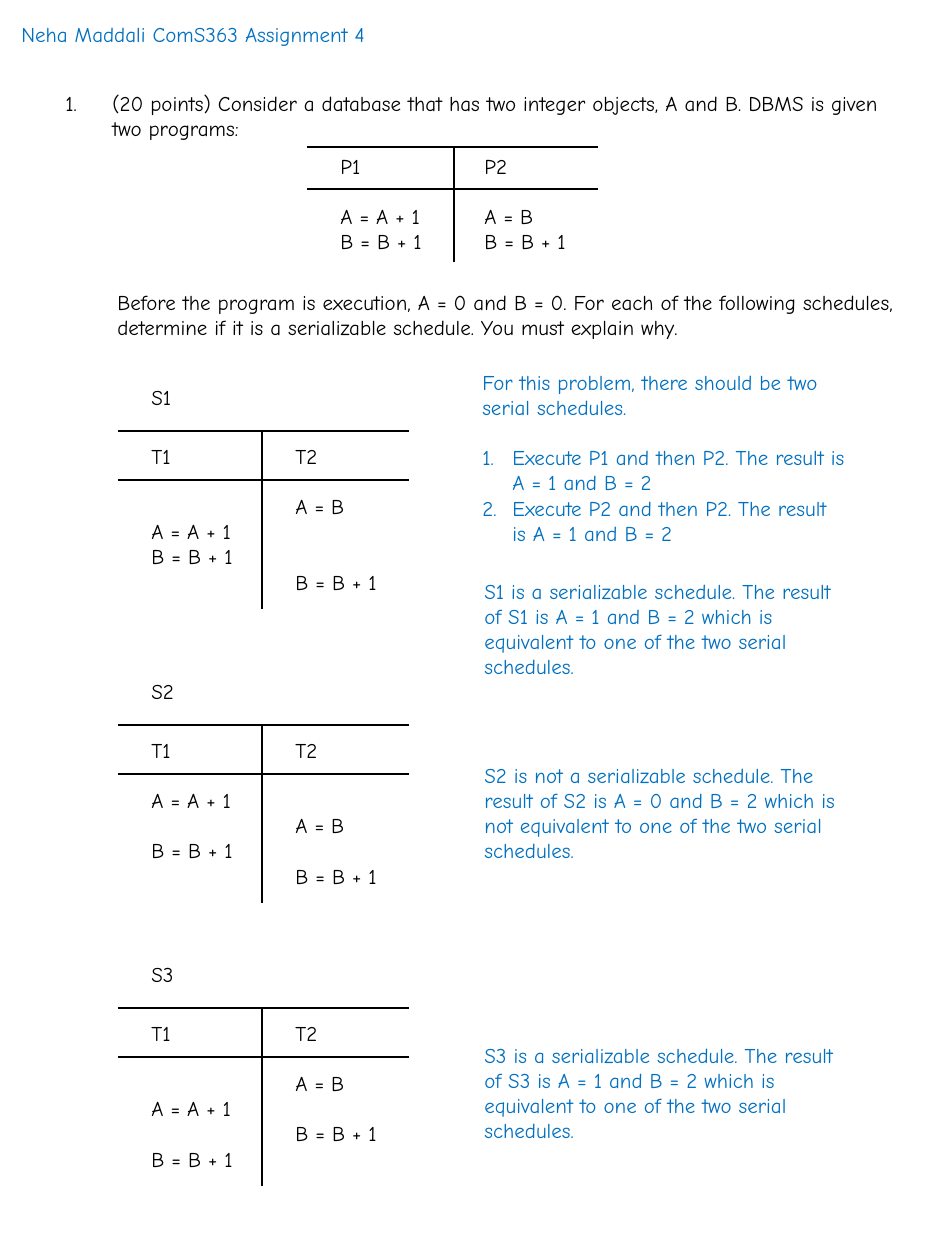
from lxml import etree
from pptx import Presentation, util as u
from pptx.dml.color import RGBColor
from pptx.enum import shapes, text
from pptx.oxml.ns import qn

PX = 914400 // 126
BLACK = RGBColor(0, 0, 0)
BLUE = RGBColor(0x00, 0x70, 0xC0)
FONT = "Comic Neue"
SIZE = 12
PITCH = 14.4
ADD_A = "A = A + 1"
ADD_B = "B = B + 1"
COPY = "A = B"


def px(n):
    return u.Emu(n * PX)


def number(para, indent):
    props = para._p.get_or_add_pPr()
    props.set("marL", str(indent * PX))
    props.set("indent", str(-indent * PX))
    etree.SubElement(props, qn("a:buFont")).set("typeface", FONT)
    etree.SubElement(props, qn("a:buAutoNum")).set("type", "arabicPeriod")


def write(slide, x, y, width, rows, lines, color=BLACK, wrap=True):
    box = slide.shapes.add_textbox(px(x), px(y), px(width), px(13 + 25 * rows))
    frame = box.text_frame
    frame.word_wrap = wrap
    frame.auto_size = text.MSO_AUTO_SIZE.SHAPE_TO_FIT_TEXT
    gap = 0
    frame.text = "\n".join(line for line in lines if line)
    paras = iter(frame.paragraphs)
    for line in lines:
        if not line:
            gap += PITCH
            continue
        para = next(paras)
        para.space_before = u.Pt(gap)
        para.font.size = u.Pt(SIZE)
        for run in para.runs:
            run.font.name = FONT
            run.font.size = u.Pt(SIZE)
            run.font.color.rgb = color
        gap = 0
    return frame.paragraphs


def rule(slide, x1, y1, x2, y2):
    line = slide.shapes.add_connector(
        shapes.MSO_CONNECTOR.STRAIGHT, px(x1), px(y1), px(x2), px(y2))
    line.line.color.rgb = BLACK
    line.line.width = u.Pt(0.75)
    etree.SubElement(line._element.spPr, qn("a:effectLst"))


def grid(slide, x, y, mid, head, height, drop, left, right):
    rule(slide, x + mid, y, x + mid, y + height)
    for top in (y + head, y):
        rule(slide, x, top, x + 291, top)
    for start, lines in ((21, left), (165, right)):
        write(slide, x + start, y + drop, 118, len(lines), lines)


def plan(slide, name, y, left, right):
    grid(slide, 118, y, 144, 49, 178, 6, ["T1", "", *left], ["T2", "", *right])
    write(slide, 139, y - 53, 50, 1, [name], wrap=False)


def verdict(slide, y, name, serial, value):
    no = "" if serial else "not "
    line = (f"{name} is {no}a serializable schedule. The result of {name} is "
            f"A = {value} and B = 2 which is {no}equivalent to one of the two "
            "serial schedules.")
    write(slide, 472, y, 388, 4, [line], BLUE)


def main():
    deck = Presentation()
    deck.slide_width, deck.slide_height = u.Inches(7.5), u.Inches(10)
    slide = deck.slides.add_slide(deck.slide_layouts[6])

    write(slide, 9, 15, 401, 1, ["Neha Maddali ComS363 Assignment 4"], BLUE)
    task = write(slide, 53, 84, 840, 2, [
        "(20 points) Consider a database that has two integer objects, "
        "A and B. DBMS is given two programs:"])
    number(task[0], 47)
    grid(slide, 307, 147, 147, 42, 115, 0,
         ["P1", "", ADD_A, ADD_B], ["P2", "", COPY, ADD_B])
    write(slide, 105, 283, 809, 2, [
        "Before the program is execution, A = 0 and B = 0. For each of the "
        "following schedules, determine if it is a serializable schedule. "
        "You must explain why."])

    plan(slide, "S1", 431, ["", ADD_A, ADD_B], [COPY, "", "", ADD_B])
    plan(slide, "S2", 725, [ADD_A, "", ADD_B], ["", COPY, "", ADD_B])
    plan(slide, "S3", 1008, ["", ADD_A, "", ADD_B], [COPY, "", ADD_B])

    notes = write(slide, 470, 363, 388, 8, [
        "For this problem, there should be two serial schedules.", "",
        "Execute P1 and then P2. The result is A = 1 and B = 2",
        "Execute P2 and then P2. The result is A = 1 and B = 2"], BLUE)
    for para in notes[1:]:
        number(para, 30)

    verdict(slide, 572, "S1", True, 1)
    verdict(slide, 756, "S2", False, 0)
    verdict(slide, 1036, "S3", True, 1)
    deck.save("out.pptx")


if __name__ == "__main__":
    main()
